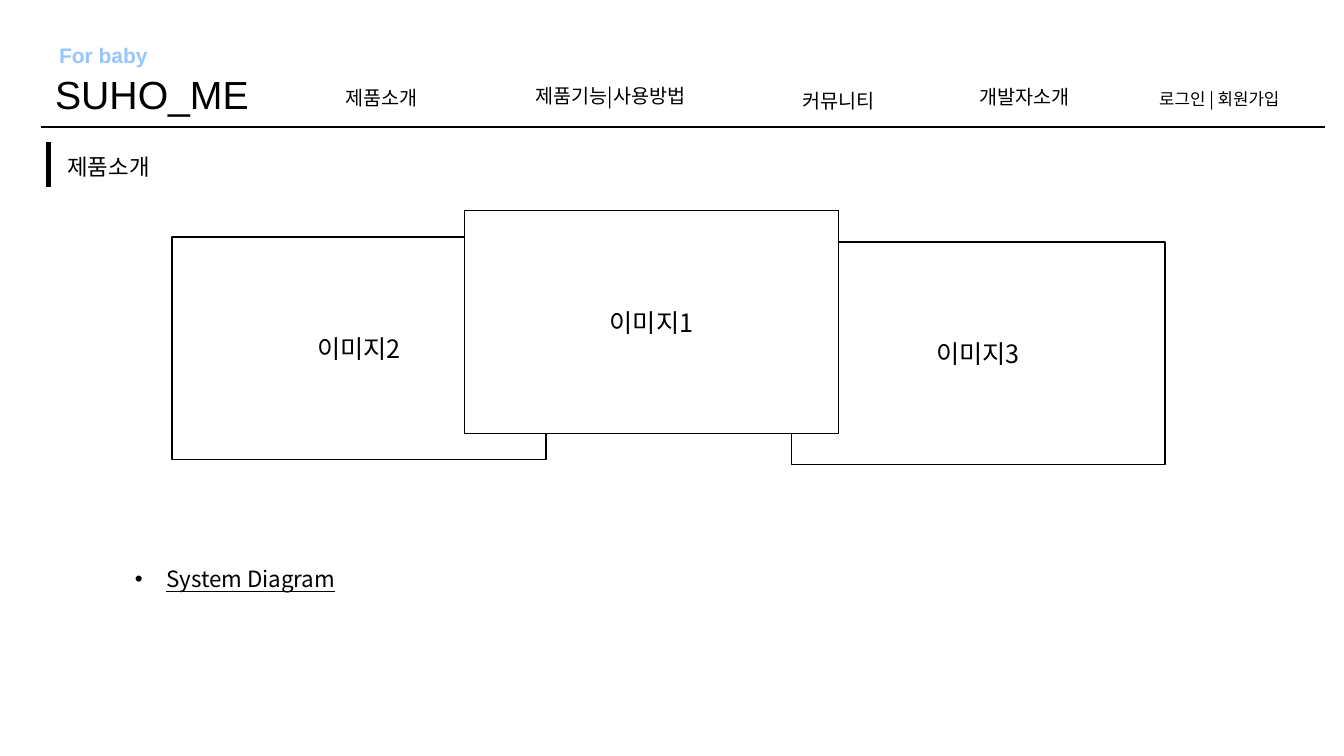
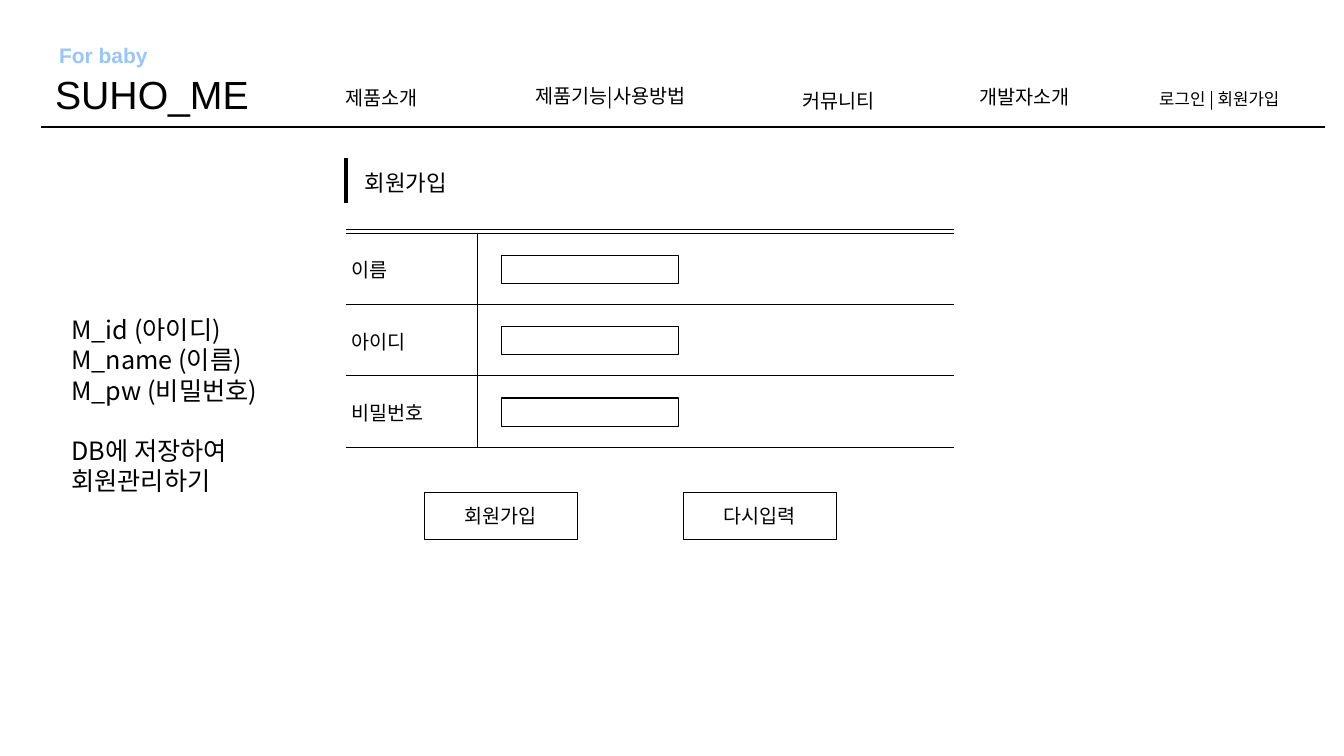
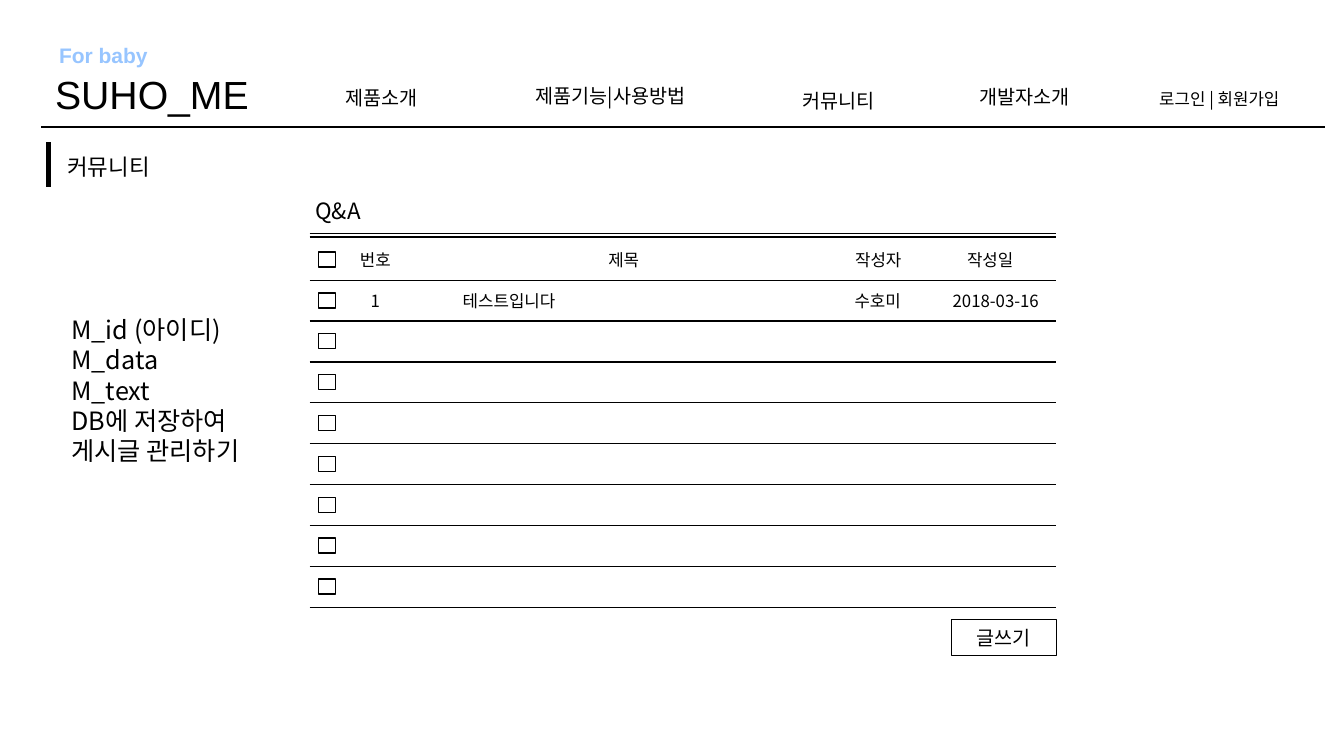
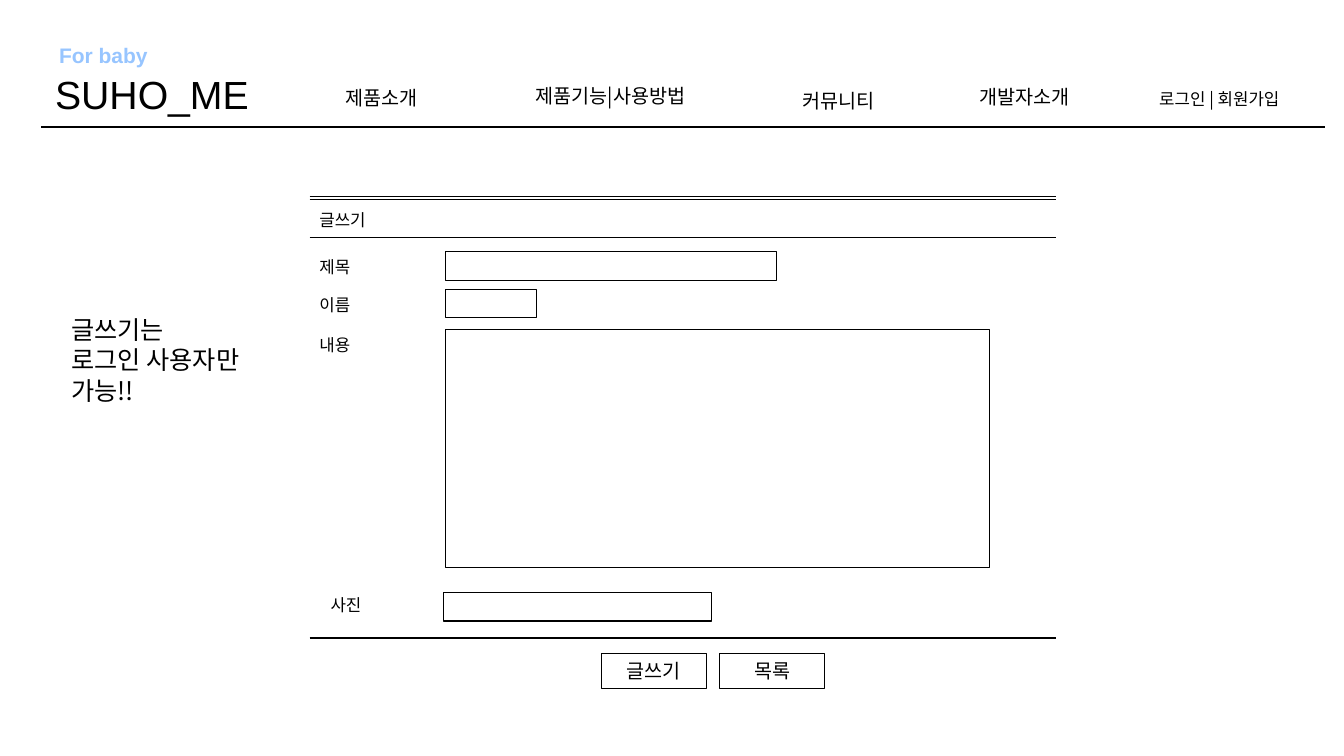
"""Build the four wireframe slides of the SUHO_ME website."""
from lxml import etree
from pptx import Presentation
from pptx import util as u
from pptx.dml import color
from pptx.enum import shapes, text
from pptx.oxml import ns

COLORS = {"ink": "000000", "paper": "FFFFFF", "sky": "97C5FF", "steel": "43739E"}
KOREAN = "Noto Sans CJK KR"
LATIN = "Arial"
LEFT, CENTER = text.PP_ALIGN.LEFT, text.PP_ALIGN.CENTER
NAVIGATION = [
    ("제품소개", 7.77, 2.03, 3.68, 14),
    ("커뮤니티", 19.3, 2.11, 3.68, 14),
    ("개발자소개", 23.98, 2.01, 3.68, 14),
    ("로그인 | 회원가입", 28.19, 2.11, 5.08, 12),
    ("제품기능|사용방법", 12.95, 1.98, 4.88, 14),
]
BOARD_LEFT, BOARD_WIDTH = 7.8, 18.82


def rgb(name):
    return color.RGBColor.from_string(COLORS[name])


def style(paragraph, size, font=KOREAN, align=LEFT):
    paragraph.alignment = align
    paragraph.font.size = u.Pt(size)
    paragraph.font.name = font
    paragraph.font.color.rgb = rgb("ink")
    etree.SubElement(paragraph.font._rPr, ns.qn("a:ea"), typeface=font)


def add_text(slide, lines, left, top, width, size, align=LEFT, font=KOREAN):
    height = 0.25 + len(lines) * size * 0.0423
    frame = slide.shapes.add_textbox(
        u.Cm(left), u.Cm(top), u.Cm(width), u.Cm(height)).text_frame
    frame.word_wrap = True
    frame.auto_size = text.MSO_AUTO_SIZE.SHAPE_TO_FIT_TEXT
    frame.text = "\n".join(lines)
    for paragraph in frame.paragraphs:
        style(paragraph, size, font, align)
    return frame.paragraphs


def add_box(slide, left, top, width, height, label="", size=14, weight=0.75):
    box = slide.shapes.add_shape(shapes.MSO_SHAPE.RECTANGLE, u.Cm(left), u.Cm(top),
                                 u.Cm(width), u.Cm(height))
    box.shadow.inherit = False
    box.fill.solid()
    box.fill.fore_color.rgb = rgb("paper")
    box.line.color.rgb = rgb("ink")
    box.line.width = u.Pt(weight)
    if label:
        box.text_frame.text = label
        box.text_frame.vertical_anchor = text.MSO_ANCHOR.MIDDLE
        style(box.text_frame.paragraphs[0], size, align=CENTER)


def add_line(slide, x1, y1, x2, y2, weight):
    line = slide.shapes.add_connector(shapes.MSO_CONNECTOR.STRAIGHT,
                                      u.Cm(x1), u.Cm(y1), u.Cm(x2), u.Cm(y2))
    line.line.color.rgb = rgb("ink")
    line.line.width = u.Pt(weight)
    etree.SubElement(line._element.spPr, ns.qn("a:effectLst"))


def add_rule(slide, top, weight=1, left=BOARD_LEFT, width=BOARD_WIDTH):
    add_line(slide, left, top, left + width, top, weight)


def add_double_rule(slide, top, *rule):
    for offset in (0, 0.08):
        add_rule(slide, top + offset, *rule)


def add_heading(slide, title, left=1.22, top=3.58):
    add_line(slide, left, top, left, top + 1.12, 3)
    add_text(slide, [title], left + 0.23, top + 0.15, 3.81, 16)


def add_note(slide, lines):
    return add_text(slide, lines, 1.55, 7.8, 6.17, 18)


def add_border(cell, side, order, visible):
    border = etree.Element(ns.qn("a:" + side), w=str(u.Pt(1)))
    if visible:
        fill = etree.SubElement(border, ns.qn("a:solidFill"))
        etree.SubElement(fill, ns.qn("a:srgbClr"), val=COLORS["ink"])
    else:
        etree.SubElement(border, ns.qn("a:noFill"))
    cell._tc.get_or_add_tcPr().insert(order, border)


def add_post_rows(slide, top, count, row_height):
    grid = slide.shapes.add_table(count, 1, u.Cm(BOARD_LEFT), u.Cm(top),
                                  u.Cm(BOARD_WIDTH), u.Cm(count * row_height)).table
    grid.first_row = grid.horz_banding = False
    for row in grid.rows:
        row.height = u.Cm(row_height)
        cell = row.cells[0]
        cell.fill.background()
        style(cell.text_frame.paragraphs[0], 12)
        for order, side in enumerate(("lnL", "lnR", "lnT", "lnB")):
            add_border(cell, side, order, visible=side in ("lnT", "lnB"))


def add_tagline(slide):
    tagline = add_text(slide, ["For baby"], 1.24, 0.94, 3, 15, font=LATIN)[0].font
    tagline.bold = True
    tagline.fill.gradient()
    tagline.fill.gradient_angle = 270
    for stop, position, name in zip(tagline.fill.gradient_stops, (0.1, 0.9), ("sky", "steel")):
        stop.position = position
        stop.color.rgb = rgb(name)
    outline = etree.Element(ns.qn("a:ln"), w=str(u.Pt(1.4)))
    fill = etree.SubElement(outline, ns.qn("a:solidFill"))
    etree.SubElement(fill, ns.qn("a:srgbClr"), val=COLORS["paper"])
    tagline._rPr.insert(0, outline)


def add_header(slide):
    add_rule(slide, 3.2, 1.5, 1.04, 32.34)
    for label, left, top, width, size in NAVIGATION:
        add_text(slide, [label], left, top, width, size, CENTER)
    add_tagline(slide)
    add_text(slide, ["SUHO_ME"], 1.14, 1.65, 5.46, 28, font=LATIN)


def build_product(slide):
    for label, left, top in (("이미지3", 19.94, 6.1), ("이미지2", 4.34, 5.97),
                             ("이미지1", 11.71, 5.31)):
        add_box(slide, left, top, 9.42, 5.61, label, 18, 1)
    add_heading(slide, "제품소개")
    diagram = add_text(slide, ["System Diagram"], 3.15, 14.12, 8.13, 16)[0]
    diagram.font.underline = True
    properties = diagram._p.get_or_add_pPr()
    properties.set("marL", str(u.Cm(0.79)))
    properties.set("indent", str(-u.Cm(0.79)))
    bullet_font = etree.Element(ns.qn("a:buFont"), typeface=LATIN)
    bullet = etree.Element(ns.qn("a:buChar"), char="•")
    properties.insert(0, bullet_font)
    properties.insert(1, bullet)


def build_signup(slide):
    left, top, width, row_height = 8.71, 5.87, 15.34, 1.8
    add_heading(slide, "회원가입", left, 3.99)
    add_double_rule(slide, top - 0.08, 0.5, left, width)
    labels = ("이름", "아이디", "비밀번호")
    for index, label in enumerate(labels):
        row_top = top + index * row_height
        add_rule(slide, row_top + row_height, 0.5, left, width)
        add_text(slide, [label], left - 0.1, row_top + 0.51, 2.74, 14)
        add_box(slide, 12.65, row_top + 0.56, 4.45, 0.71)
    add_line(slide, 12.04, top, 12.04, top + len(labels) * row_height, 0.5)
    for label, button_left in (("회원가입", 10.69), ("다시입력", 17.22)):
        add_box(slide, button_left, 12.42, 3.86, 1.17, label)
    note = add_note(slide, ["M_id (아이디)", "M_name (이름)", "M_pw (비밀번호)",
                            "DB에 저장하여", "회원관리하기"])
    note[3].space_before = u.Pt(21.6)


def build_community(slide):
    row_height, posts = 1.03, 8
    add_heading(slide, "커뮤니티")
    add_double_rule(slide, 5.89)
    add_post_rows(slide, 7.06, posts, row_height)
    for index in range(posts + 1):
        add_box(slide, 8.03, 6.35 + index * row_height, 0.43, 0.38, weight=1)
    columns = (("번호", 8.71, 1.5), ("제목", 10.46, 10.52),
               ("작성자", 21.18, 1.91), ("작성일", 24, 1.91))
    first_post = (("1", 8.71, 1.5), ("테스트입니다", 11.13, 3.4),
                  ("수호미", 20.42, 3.4), ("2018-03-16", 23.57, 3.05))
    for top, entries in ((6.17, columns), (7.2, first_post)):
        for label, left, width in entries:
            add_text(slide, [label], left, top, width, 12, CENTER)
    add_box(slide, 23.98, 15.62, 2.64, 0.89, "글쓰기")
    add_text(slide, ["Q&A"], 7.7, 4.85, 3.4, 16)
    add_note(slide, ["M_id (아이디)", "M_data", "M_text", "DB에 저장하여", "게시글 관리하기"])


def build_writing(slide):
    add_double_rule(slide, 4.95)
    add_text(slide, ["글쓰기"], BOARD_LEFT, 5.16, 2.41, 12)
    for top in (5.99, 16.08):
        add_rule(slide, top)
    for label, left, top, field in (
            ("제목", 7.8, 6.35, (11.23, 6.35, 8.33, 0.71)),
            ("이름", 7.8, 7.29, (11.23, 7.29, 2.29, 0.71)),
            ("내용", 7.8, 8.31, (11.23, 8.31, 13.72, 5.99)),
            ("사진", 8.08, 14.86, (11.18, 14.94, 6.76, 0.71))):
        add_text(slide, [label], left, top, 1.5, 12)
        add_box(slide, *field)
    for label, left in (("글쓰기", 15.16), ("목록", 18.14)):
        add_box(slide, left, 16.46, 2.64, 0.89, label)
    add_note(slide, ["글쓰기는", "로그인 사용자만", "가능!!"])


def main():
    deck = Presentation()
    deck.slide_width, deck.slide_height = u.Cm(33.87), u.Cm(19.05)
    for build in (build_product, build_signup, build_community, build_writing):
        slide = deck.slides.add_slide(deck.slide_layouts[6])
        build(slide)
        add_header(slide)
    deck.save("out.pptx")


if __name__ == "__main__":
    main()
